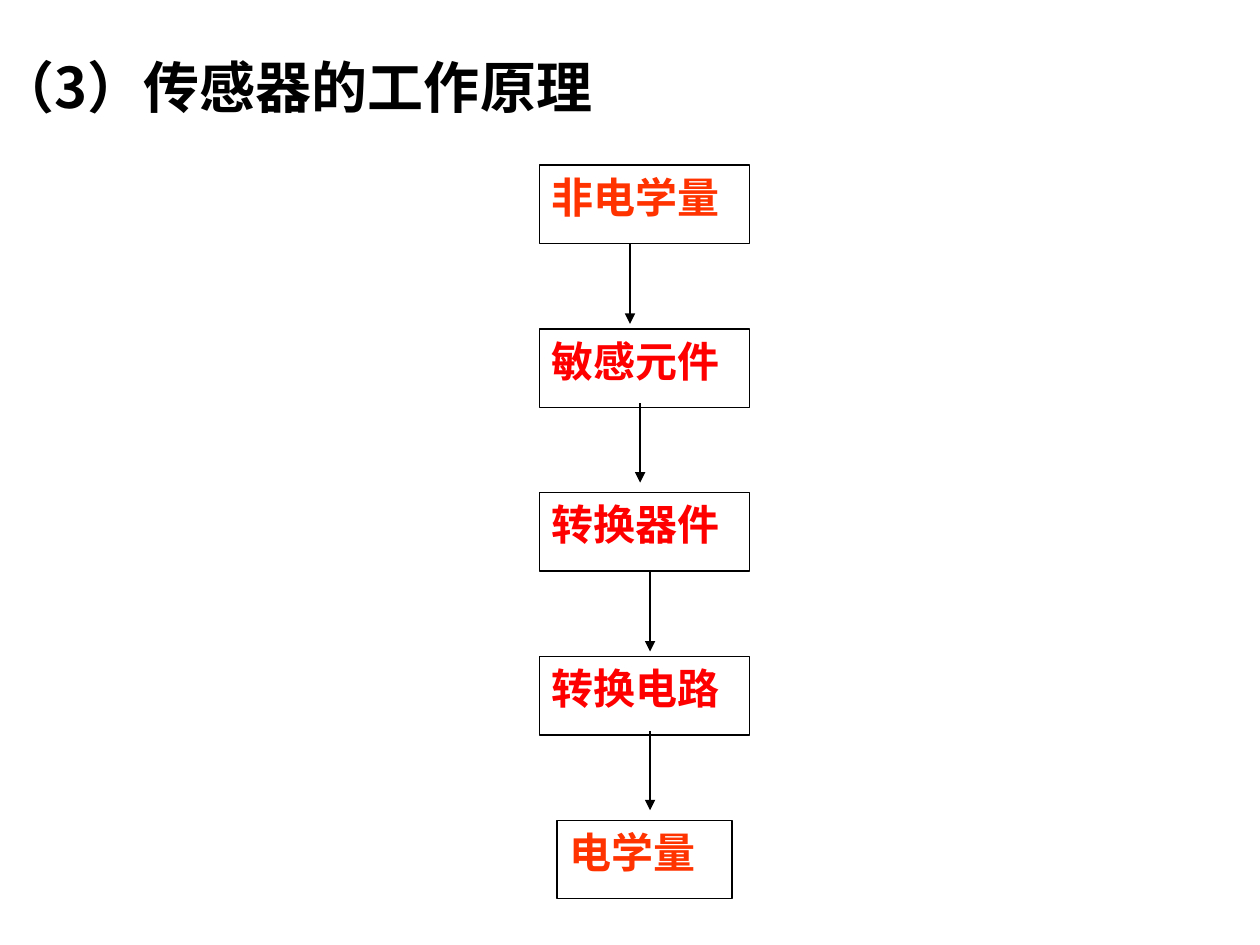
"""Build a slide on how a sensor works, as a vertical flow of five boxes."""
from dataclasses import dataclass

from pptx import Presentation
from pptx import util as u
from pptx.dml.color import RGBColor
from pptx.enum import lang, shapes, text
from pptx.oxml.ns import qn
from lxml import etree

Pt = u.Pt
HUES = {"ink": "000000", "paper": "FFFFFF", "end": "FF3300", "step": "FF0000"}
SANS = "Noto Sans CJK JP"
MID, TOP, STEP, HIGH = 368.3, 94.4, 93.6, 44.8


@dataclass
class Box:
    label: str
    hue: str
    wide: float = 120.2


@dataclass
class Arrow:
    x: float
    top: float
    long: float = 45.4


BOXES = [
    Box("非电学量", "end"),
    Box("敏感元件", "step"),
    Box("转换器件", "step"),
    Box("转换电路", "step"),
    Box("电学量", "end", 100.1),
]
ARROWS = [Arrow(360, 139.7), Arrow(365.8, 230.4), Arrow(371.5, 326.9), Arrow(371.5, 417.6)]


def color(key: str) -> RGBColor:
    return RGBColor.from_string(HUES[key])


def style(para, face: str, size: float, key: str, align) -> None:
    para.alignment = align
    for run in para.runs:
        font = run.font
        font.name, font.size, font.bold = face, Pt(size), True
        font.color.rgb = color(key)
        font.language_id = lang.MSO_LANGUAGE_ID.SIMPLIFIED_CHINESE
        latin = font._element.find(qn("a:latin"))
        east = etree.Element(qn("a:ea"), typeface=SANS)
        latin.addnext(east)


def inset(frame) -> None:
    frame.margin_left = frame.margin_right = Pt(7.2)
    frame.margin_top = frame.margin_bottom = Pt(3.6)


def draw_title(slide, label: str) -> None:
    title = slide.shapes.title
    title.left, title.top, title.width, title.height = Pt(-7.9), Pt(25.9), Pt(373), Pt(46.1)
    frame = title.text_frame
    frame.text = label
    frame.word_wrap = False
    frame.vertical_anchor = text.MSO_ANCHOR.MIDDLE
    frame.auto_size = text.MSO_AUTO_SIZE.NONE
    inset(frame)
    style(frame.paragraphs[0], SANS, 32, "ink", text.PP_ALIGN.LEFT)


def draw_box(slide, box: Box, row: int) -> None:
    shape = slide.shapes.add_shape(
        shapes.MSO_SHAPE.RECTANGLE,
        Pt(MID - box.wide / 2), Pt(TOP + row * STEP), Pt(box.wide), Pt(HIGH))
    shape.shadow.inherit = False
    shape.fill.solid()
    shape.fill.fore_color.rgb = color("paper")
    shape.line.color.rgb = color("ink")
    shape.line.width = Pt(0.75)
    frame = shape.text_frame
    frame.text = box.label
    frame.word_wrap = True
    frame.vertical_anchor = text.MSO_ANCHOR.TOP
    inset(frame)
    style(frame.paragraphs[0], "Times New Roman", 24, box.hue, text.PP_ALIGN.JUSTIFY)


def draw_arrow(slide, arrow: Arrow) -> None:
    link = slide.shapes.add_connector(
        shapes.MSO_CONNECTOR.STRAIGHT,
        Pt(arrow.x), Pt(arrow.top), Pt(arrow.x), Pt(arrow.top + arrow.long))
    link.line.color.rgb = color("ink")
    link.line.width = Pt(0.75)
    props = link._element.spPr
    etree.SubElement(props.find(qn("a:ln")), qn("a:tailEnd"), type="triangle")
    etree.SubElement(props, qn("a:effectLst"))


def main() -> None:
    deck = Presentation()
    deck.slide_width, deck.slide_height = Pt(720), Pt(540)
    slide = deck.slides.add_slide(deck.slide_layouts[5])
    draw_title(slide, "（3）传感器的工作原理")
    for row, box in enumerate(BOXES):
        draw_box(slide, box, row)
    for arrow in ARROWS:
        draw_arrow(slide, arrow)
    deck.save("out.pptx")


if __name__ == "__main__":
    main()
